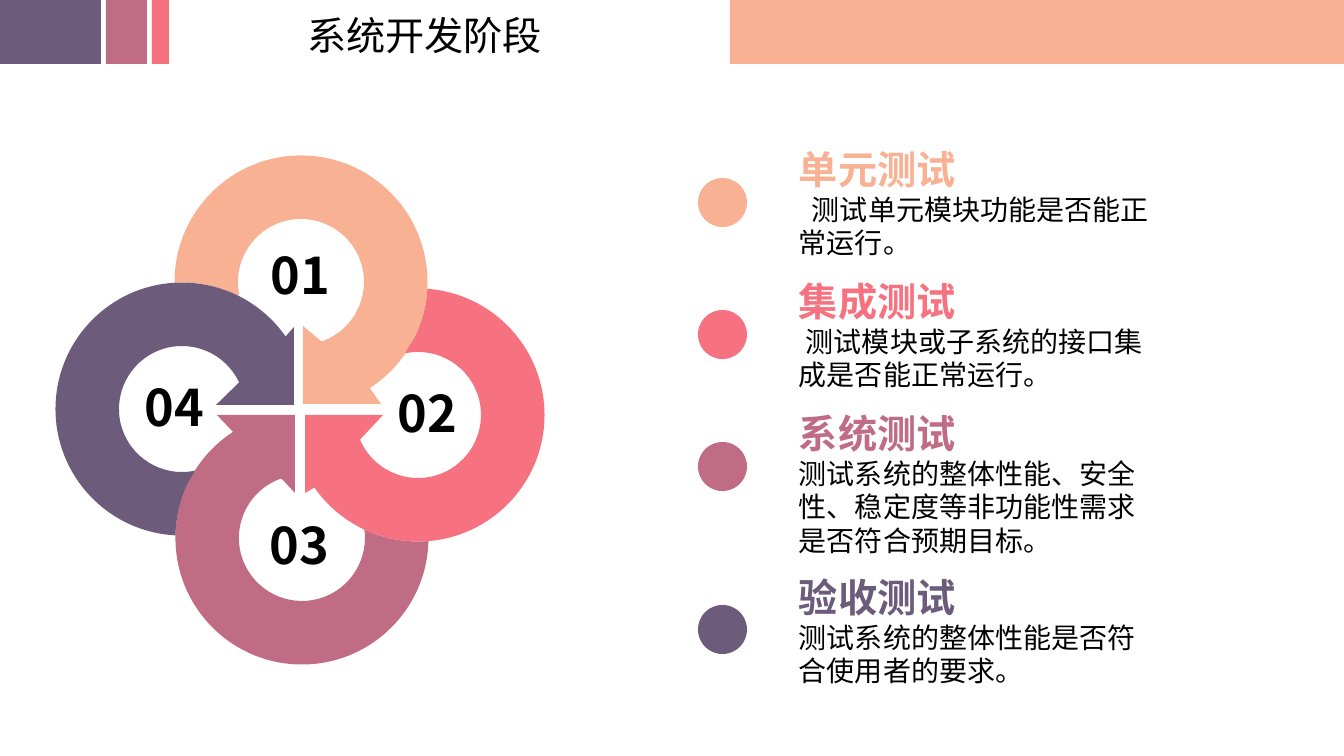
from dataclasses import dataclass
from math import acos, atan2, cos, degrees, dist, radians, sin, tan

from pptx import Presentation
from pptx import util as u
from pptx.dml.color import RGBColor
from pptx.enum import shapes, text
from pptx.oxml.ns import qn

SCALE = 9144000 / 1008  # EMU in one pixel


@dataclass(frozen=True)
class Theme:
    peach: str = "F8B193"
    pink: str = "F67280"
    mauve: str = "C06C84"
    plum: str = "6C5B7B"
    ink: str = "000000"
    cjk: str = "Noto Sans CJK SC"
    latin: str = "Calibri"
    number: int = 36
    head: int = 28
    body: int = 20


T = Theme()

# Header bars: left, width, colour
BARS = [(730, 614, T.peach), (0, 101, T.plum), (106, 41, T.mauve), (152, 17, T.pink)]

# Rings clockwise from the top:
# colour, centre, arrow corner, outer and inner angle at the arrow, number box
RINGS = [
    (T.peach, (301, 282), (303, 404), (57, 71), (261, 239)),
    (T.pink, (418, 415), (305, 415), (55, 67), (388, 377)),
    (T.mauve, (302, 538), (295, 415), (57, 71), (260, 509)),
    (T.plum, (182, 409), (294, 405), (55, 65), (135, 371)),
]
OUTER, INNER, ARM = 126.5, 63, 78

# Test stages: top, height, dot top, colour, heading, detail, first-line indent
STAGES = [
    (140, 125, 178, T.peach, "单元测试", "测试单元模块功能是否能正常运行。", 13),
    (272, 125, 310, T.pink, "集成测试", "测试模块或子系统的接口集成是否能正常运行。", 7),
    (404, 159, 442, T.mauve, "系统测试",
     "测试系统的整体性能、安全性、稳定度等非功能性需求是否符合预期目标。", 0),
    (568, 125, 605, T.plum, "验收测试", "测试系统的整体性能是否符合使用者的要求。", 0),
]


def px(n):
    return u.Emu(round(n * SCALE))


def paint(shape, color):
    shape.shadow.inherit = False
    shape.fill.solid()
    shape.fill.fore_color.rgb = RGBColor.from_string(color)
    shape.line.fill.background()


def block(slide, kind, left, top, width, height, color):
    shape = slide.shapes.add_shape(kind, px(left), px(top), px(width), px(height))
    paint(shape, color)


def write(para, words, *, size, color=T.ink, font=T.cjk, bold=False, indent=0):
    para.alignment = text.PP_ALIGN.LEFT
    para.line_spacing = 1.0
    para.space_before = u.Pt(0)
    if indent:
        para._p.get_or_add_pPr().set("indent", str(px(indent)))
    run = para.add_run()
    run.text = words
    run.font.size = u.Pt(size)
    run.font.bold = bold
    run.font.name = font
    run.font.color.rgb = RGBColor.from_string(color)
    # East Asian glyphs need their own typeface entry
    east = run._r.get_or_add_rPr().makeelement(qn("a:ea"), {"typeface": T.cjk})
    run._r.rPr.find(qn("a:latin")).addnext(east)


def frame(shape, left, top, width, height, wrap=True):
    shape.left, shape.top = px(left), px(top)
    shape.width, shape.height = px(width), px(height)
    body = shape.text_frame
    body.word_wrap = wrap
    body.auto_size = text.MSO_AUTO_SIZE.SHAPE_TO_FIT_TEXT
    body.vertical_anchor = text.MSO_ANCHOR.TOP
    body.margin_left = body.margin_right = u.Inches(0.1)
    body.margin_top = body.margin_bottom = u.Inches(0.05)
    return body


def box(slide, left, top, width, height, wrap=True):
    return frame(slide.shapes.add_textbox(0, 0, 0, 0), left, top, width, height, wrap)


def spot(center, radius, angle):
    a = radians(angle)
    return center[0] + radius * cos(a), center[1] + radius * sin(a)


def arc(center, radius, *stops):
    """Bezier curves through the angles given, three points to a curve."""
    curves = []
    for start, end in zip(stops, stops[1:]):
        pull = 4 / 3 * tan(radians(end - start) / 4) * radius
        (x, y), (p, q) = spot(center, radius, start), spot(center, radius, end)
        a, b = radians(start), radians(end)
        curves.append([(x - pull * sin(a), y + pull * cos(a)),
                       (p + pull * sin(b), q - pull * cos(b)), (p, q)])
    return curves


def outline(slide, start, parts, color):
    """Draw parts of one point as lines and of three points as curves."""
    pen = slide.shapes.build_freeform(*map(px, start))
    pen.add_line_segments([(px(x), px(y)) for part in parts for x, y in part], close=True)
    shape = pen.convert_to_shape()
    lines = iter(list(shape._element.iter(qn("a:lnTo"))))
    for part in parts:
        group = [next(lines) for _ in part]
        if len(group) == 3:
            curve = group[0].makeelement(qn("a:cubicBezTo"), {})
            group[0].addprevious(curve)
            for line in group:
                curve.append(line[0])
                line.getparent().remove(line)
    paint(shape, color)


def ring(slide, index):
    """Draw an open ring with an arrowhead, a quarter turn on per index."""
    color, center, (x, y), (rim, hole), _ = RINGS[index]
    before = RINGS[index - 1][1]
    turn = 90 * index
    c, s = round(cos(radians(turn))), round(sin(radians(turn)))
    # Where this rim crosses the rim of the ring before it
    lean = degrees(atan2(center[1] - before[1], center[0] - before[0])) % 360
    lean -= 360 if index == 0 else 0
    half = degrees(acos(dist(center, before) / 2 / OUTER))
    start = lean + 180 + half
    parts = arc(center, OUTER, start, turn + 270, turn + 360, turn + 360 + rim)
    parts += [[(x + ARM * c, y + ARM * s)], [(x, y)], [(x + ARM * s, y - ARM * c)]]
    parts += [[spot(center, INNER, turn + hole)]]
    parts += arc(center, INNER, turn + 360 + hole, turn + 340, turn + 255, turn + 168)
    parts += [[spot(before, OUTER, turn - 64)]]
    parts += arc(before, OUTER, turn - 64, lean - half)
    outline(slide, spot(center, OUTER, start), parts, color)


def main():
    deck = Presentation()
    deck.slide_width, deck.slide_height = px(1344), px(756)
    slide = deck.slides.add_slide(deck.slide_layouts[5])

    # Header
    for left, width, color in BARS:
        block(slide, shapes.MSO_SHAPE.RECTANGLE, left, 0, width, 64, color)
    title = frame(slide.shapes.title, 297, 6, 304, 57)
    write(title.paragraphs[0], "系统开发阶段", size=T.head)

    # Linked rings, in overlap order, then their numbers
    for index in (2, 0, 1, 3):
        ring(slide, index)
    for index, (*_, (left, top)) in enumerate(RINGS, 1):
        body = box(slide, left, top, 84, 71, wrap=False)
        write(body.paragraphs[0], f"{index:02}", size=T.number, bold=True)

    # Stage list
    for top, height, dot, color, head, detail, indent in STAGES:
        block(slide, shapes.MSO_SHAPE.OVAL, 698, dot, 49, 49, color)
        body = box(slide, 789, top, 383, height)
        write(body.paragraphs[0], head, size=T.head, color=color, font=T.latin, bold=True)
        write(body.add_paragraph(), detail, size=T.body, font=T.latin, indent=indent)

    deck.save("out.pptx")


main()
